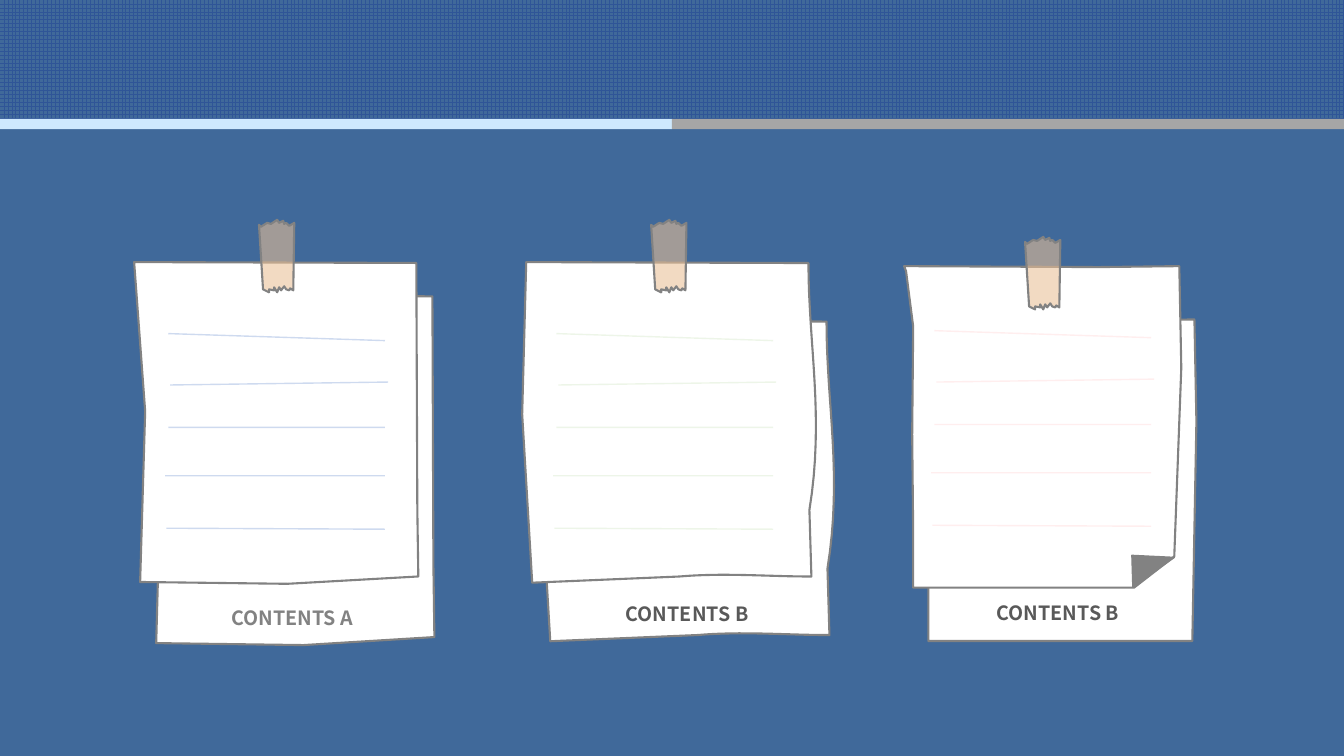
from dataclasses import dataclass

import pptx
import pptx.dml.color
import pptx.enum.dml
import pptx.enum.shapes
import pptx.enum.text
import pptx.oxml
import pptx.oxml.ns
import pptx.util
from pptx.util import Pt

FONT = "Noto Sans CJK KR"
BLUE, WHITE, GRAY, TAPE_COLOR = "40699A", "FFFFFF", "828282", "EAC096"
CURVE_STEPS = 16

TAPE = [
    (2.9, 49.7), (7.2, 51.8), (7.2, 49.7), (10.8, 50.4), (10.8, 48.2), (13, 51.8),
    (14.4, 48.2), (15.8, 50.4), (18, 47.5), (19.4, 49.7), (21.6, 50.4), (22.3, 49),
    (24.5, 50.4), (25.2, 2.2), (21.6, 4.3), (19.4, 2.2), (18, 2.9), (17.3, 0.7),
    (14.4, 2.2), (13, 0), (8.6, 2.9), (5.8, 2.2), (1.4, 5), (0, 3.6),
]
RULES = [
    (0, 0, 154.8, 5), (1.4, 36.7, 157, 34.6), (0, 67, 154.8, 67),
    (-2.2, 101.5, 154.8, 101.5), (-1.4, 139, 154.8, 139.7),
]


def curve(p0: tuple, p1: tuple, p2: tuple, p3: tuple) -> list:
    points = []
    for i in range(CURVE_STEPS + 1):
        t = i / CURVE_STEPS
        weights = ((1 - t) ** 3, 3 * t * (1 - t) ** 2, 3 * t**2 * (1 - t), t**3)
        points.append(tuple(
            sum(w * p[axis] for w, p in zip(weights, (p0, p1, p2, p3)))
            for axis in (0, 1)))
    return points


BENT_SHEET = [(0, 0), (201.6, 0.7), (202.3, 192.2), (203, 244.1), (109.4, 249.8),
              (4.3, 248.4), (7.9, 115.9)]
WAVY_SHEET = [
    (2.9, 0),
    *curve((204.5, 0.7), (204.5, 59.8), (216, 110.2), (205.2, 177.1)),
    *curve((206.6, 224.6), (175, 224.6), (144, 221.8), (112.3, 224.6)),
    (7.2, 229), (0, 108.7),
]
SHEET_TOP = [(0, 0), (139, 0.7), (196.6, 0), (198, 72.7)]
SHEET_LEFT = [(6.5, 229.7), (6.5, 190.8), (5.8, 120.2), (6.5, 43.2), (1.4, 3.6)]
FLAT_SHEET = [*SHEET_TOP, (195.1, 229.7), *SHEET_LEFT]
CUT_SHEET = [*SHEET_TOP, (193, 207.4), (164.2, 229.7), *SHEET_LEFT]
FOLD = [(163.4, 229), (193, 208.1), (162.7, 206.6)]


@dataclass
class Note:
    label: str
    label_color: str
    back: list
    back_at: tuple
    front: list
    front_at: tuple
    tape_at: tuple
    rules_at: tuple
    rule_color: str
    rule_opacity: int
    fold: list


NOTES = [
    Note("CONTENTS A", GRAY, BENT_SHEET, (107.3, 211),
         [(x, y * 0.92) for x, y in BENT_SHEET], (95.8, 187.2),
         (185, 157), (120.2, 238.3), "4472C4", 25, []),
    Note("CONTENTS B", "595959", WAVY_SHEET, (385.9, 229), WAVY_SHEET, (373, 187.2),
         (465.1, 157), (397.4, 238.3), "A9D18E", 20, []),
    Note("CONTENTS B", "595959", FLAT_SHEET, (656.6, 228.2), CUT_SHEET, (645.8, 190.1),
         (732.2, 169.2), (667.4, 236.2), "FF7C80", 12, FOLD),
]


def rgb(color: str) -> pptx.dml.color.RGBColor:
    return pptx.dml.color.RGBColor.from_string(color)


def set_opacity(sp, fill_xpath: str, percent: int) -> None:
    color = sp._element.xpath(f"./p:spPr/{fill_xpath}/a:srgbClr")[0]
    alpha = pptx.oxml.parse_xml(
        f'<a:alpha {pptx.oxml.ns.nsdecls("a")} val="{percent * 1000}"/>')
    color.append(alpha)


def add_outline(shapes, points: list, at: tuple, fill: str, width: float = 1.5):
    placed = [(Pt(at[0] + x), Pt(at[1] + y)) for x, y in points]
    builder = shapes.build_freeform(*placed[0], scale=1.0)
    builder.add_line_segments(placed[1:], close=True)
    sp = builder.convert_to_shape()
    sp.shadow.inherit = False
    sp.fill.solid()
    sp.fill.fore_color.rgb = rgb(fill)
    sp.line.color.rgb = rgb(GRAY)
    sp.line.width = Pt(width)
    return sp


def add_label(sp, text: str, color: str) -> None:
    tf = sp.text_frame
    tf.word_wrap = True
    tf.vertical_anchor = pptx.enum.text.MSO_ANCHOR.BOTTOM
    tf.margin_left = tf.margin_right = Pt(7.2)
    tf.margin_top, tf.margin_bottom = Pt(3.6), Pt(11.5)
    p = tf.paragraphs[0]
    p.text = text
    p.alignment = pptx.enum.text.PP_ALIGN.CENTER
    p.font.name, p.font.size, p.font.bold = FONT, Pt(14), True
    p.font.color.rgb = rgb(color)


def add_rule(shapes, ends: tuple, at: tuple, color: str, opacity: int) -> None:
    x1, y1, x2, y2 = ends
    line = shapes.add_connector(
        pptx.enum.shapes.MSO_CONNECTOR.STRAIGHT,
        Pt(at[0] + x1), Pt(at[1] + y1), Pt(at[0] + x2), Pt(at[1] + y2))
    line.line.color.rgb = rgb(color)
    line.line.width = Pt(1)
    set_opacity(line, "a:ln/a:solidFill", opacity)
    line._element.spPr.append(
        pptx.oxml.parse_xml(f'<a:effectLst {pptx.oxml.ns.nsdecls("a")}/>'))


def add_note(shapes, note: Note) -> None:
    back = add_outline(shapes, note.back, note.back_at, WHITE)
    add_label(back, note.label, note.label_color)
    front = shapes.add_group_shape().shapes
    add_outline(front, note.front, note.front_at, WHITE)
    if note.fold:
        add_outline(front, note.fold, note.front_at, GRAY, 1)
    tape = add_outline(front, TAPE, note.tape_at, TAPE_COLOR)
    set_opacity(tape, "a:solidFill", 58)
    for ends in RULES:
        add_rule(front, ends, note.rules_at, note.rule_color, note.rule_opacity)


def add_band(shapes, x: float, y: float, w: float, h: float, color: str):
    sp = shapes.add_shape(pptx.enum.shapes.MSO_SHAPE.RECTANGLE,
                          Pt(x), Pt(y), Pt(w), Pt(h))
    sp.shadow.inherit = False
    sp.line.fill.background()
    sp.fill.solid()
    sp.fill.fore_color.rgb = rgb(color)
    return sp


def main() -> None:
    prs = pptx.Presentation()
    prs.slide_width, prs.slide_height = Pt(960), Pt(540)
    slide = prs.slides.add_slide(prs.slide_layouts[6])
    slide.background.fill.solid()
    slide.background.fill.fore_color.rgb = rgb(BLUE)

    header = add_band(slide.shapes, 0, 0, 960, 85, BLUE)
    header.fill.patterned()
    header.fill.pattern = pptx.enum.dml.MSO_PATTERN.LARGE_GRID
    header.fill.fore_color.rgb = rgb("2F5597")
    header.fill.back_color.rgb = rgb(BLUE)
    for x, color in ((0, "CEE9FE"), (480, "A6A6A6")):
        add_band(slide.shapes, x, 85, 480, 7.2, color)

    for note in NOTES:
        add_note(slide.shapes, note)
    prs.save("out.pptx")


if __name__ == "__main__":
    main()
